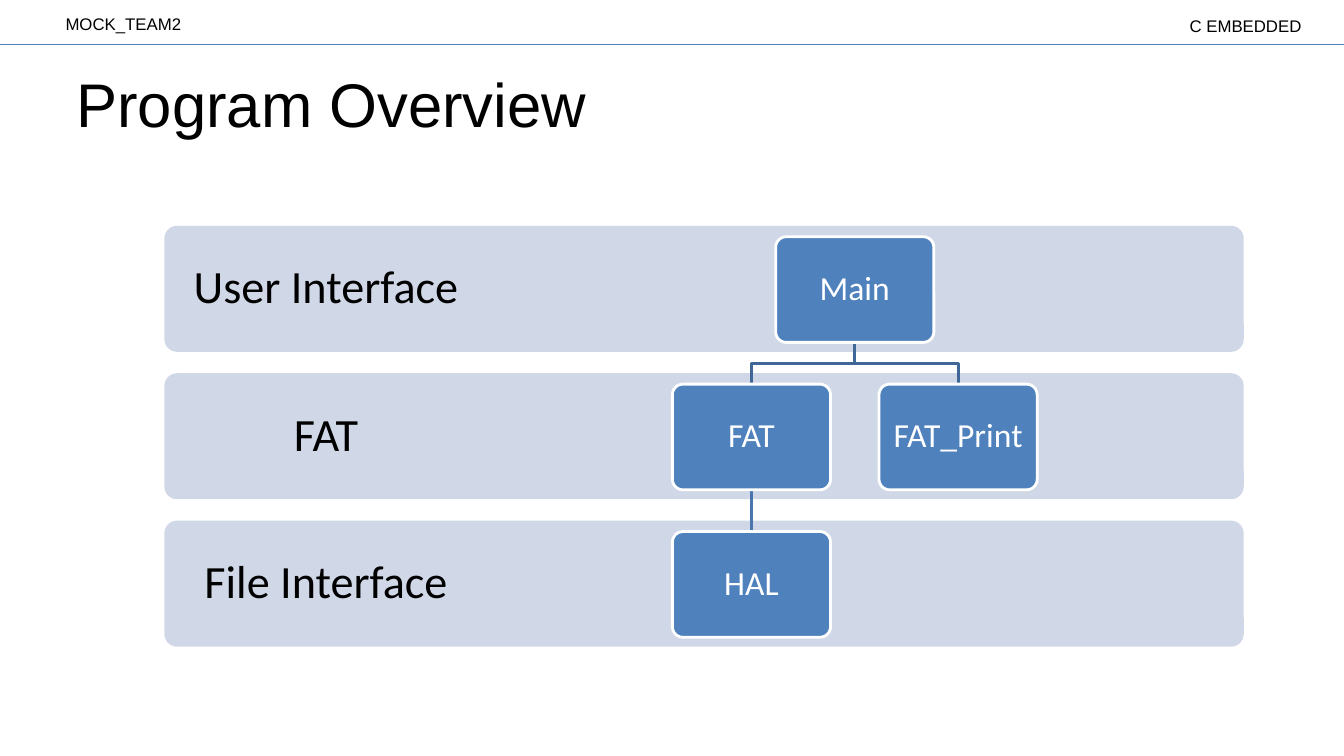
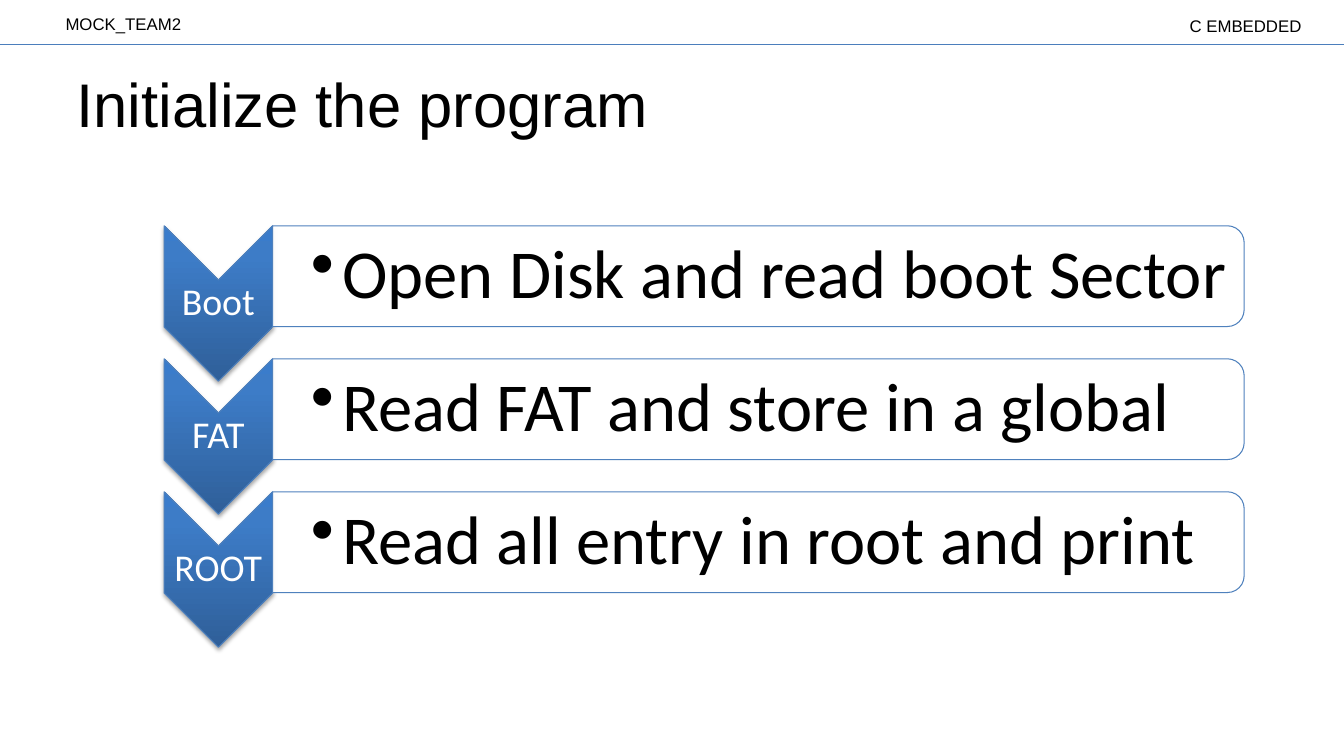
from dataclasses import dataclass

from lxml import etree
from pptx import Presentation
from pptx import util as u
from pptx.dml.color import RGBColor
from pptx.enum import shapes, text
from pptx.oxml.ns import qn

LEFT, CENTER, RIGHT = text.PP_ALIGN.LEFT, text.PP_ALIGN.CENTER, text.PP_ALIGN.RIGHT
TOP, MIDDLE = text.MSO_ANCHOR.TOP, text.MSO_ANCHOR.MIDDLE


@dataclass(frozen=True)
class Theme:
    heading_font: str = "Arial"
    body_font: str = "Calibri"
    black: str = "000000"
    white: str = "FFFFFF"
    rule: str = "4B7EBC"
    accent: str = "4F81BD"
    band: str = "D0D8E8"
    branch: str = "3F6797"
    stem: str = "4875AC"
    gradient: tuple = ((0, "2F5F99"), (80, "3D7CC7"), (100, "3A7CCB"))
    header_size: float = 12
    title_size: float = 44
    band_size: float = 33
    block_size: float = 24
    step_size: float = 27
    bullet_size: float = 49
    hairline: float = 0.75
    stroke: float = 2


def add_xml(parent, tag, **attributes):
    values = {name: str(value) for name, value in attributes.items()}
    return etree.SubElement(parent, qn(tag), values)


class Deck:
    """Holds the theme, the presentation and the slide being drawn."""

    def __init__(self, theme):
        self.theme = theme
        self.presentation = Presentation()
        self.presentation.slide_width = u.Pt(960)
        self.presentation.slide_height = u.Pt(540)
        self.slide = None

    def start_slide(self, title):
        theme = self.theme
        self.slide = self.presentation.slides.add_slide(self.presentation.slide_layouts[6])
        self.line((0, 31.7), (960, 31.7), theme.rule, theme.hairline)
        header = dict(size=theme.header_size, font=theme.heading_font, insets=(5, 3, 5, 3))
        self.label((553.7, 8.6, 381, 20), "C EMBEDDED", align=RIGHT, **header)
        self.label((41.8, 6.5, 381, 20), "MOCK_TEAM2", **header)
        self.label((47.5, 43.2, 864, 90), title, size=theme.title_size,
                   font=theme.heading_font, insets=(7.2, 3.6, 7.2, 3.6))

    def set_text(self, shape, words, size, font=None, color=None, align=LEFT,
                 anchor=TOP, insets=(0, 0, 0, 0), spacing=None):
        frame = shape.text_frame
        frame.word_wrap = True
        frame.vertical_anchor = anchor
        (frame.margin_left, frame.margin_top,
         frame.margin_right, frame.margin_bottom) = map(u.Pt, insets)
        paragraph = frame.paragraphs[0]
        paragraph.alignment = align
        paragraph.line_spacing = spacing
        run = paragraph.add_run()
        run.text = words
        run.font.size = u.Pt(size)
        run.font.name = font or self.theme.body_font
        run.font.color.rgb = RGBColor.from_string(color or self.theme.black)
        return paragraph

    def label(self, box, words, **style):
        shape = self.slide.shapes.add_textbox(*map(u.Pt, box))
        return self.set_text(shape, words, **style)

    def bullet(self, box, words, indent=22.3, **style):
        paragraph = self.label(box, words, **style)
        paragraph.level = 1
        properties = paragraph._p.get_or_add_pPr()
        properties.set("marL", str(u.Pt(indent)))
        properties.set("indent", str(-u.Pt(indent)))
        add_xml(properties, "a:buChar", char="•")

    def box(self, kind, box, fill, line=None, width=0, corner=None, turn=0):
        shape = self.slide.shapes.add_shape(kind, *map(u.Pt, box))
        shape.shadow.inherit = False
        shape.rotation = turn
        if corner is not None:
            shape.adjustments[0] = corner
        shape.fill.solid()
        shape.fill.fore_color.rgb = RGBColor.from_string(fill)
        if line:
            self.stroke(shape, line, width)
        else:
            shape.line.fill.background()
        return shape

    def upright(self, kind, box, *style):
        """Add a shape turned by 90 degrees that covers the given box on the slide."""
        left, top, width, height = box
        shift = (width - height) / 2
        return self.box(kind, (left + shift, top - shift, height, width), *style, turn=90)

    def stroke(self, shape, color, width):
        shape.line.color.rgb = RGBColor.from_string(color)
        shape.line.width = u.Pt(width)

    def line(self, start, end, color, width):
        connector = self.slide.shapes.add_connector(
            shapes.MSO_CONNECTOR.STRAIGHT, *map(u.Pt, start + end))
        self.stroke(connector, color, width)
        add_xml(connector._element.spPr, "a:effectLst")

    def branch(self, start, end, color, width):
        """Draw a line that goes down, across and down again."""
        middle = (start[1] + end[1]) / 2
        points = [start, (start[0], middle), (end[0], middle), end]
        first, *rest = [(u.Pt(x), u.Pt(y)) for x, y in points]
        builder = self.slide.shapes.build_freeform(*first)
        builder.add_line_segments(rest, close=False)
        shape = builder.convert_to_shape()
        shape.shadow.inherit = False
        shape.fill.background()
        self.stroke(shape, color, width)

    def shade(self, shape):
        """Give the shape an upright gradient and a soft shadow below."""
        properties = shape._element.spPr
        gradient = etree.Element(qn("a:gradFill"), {"rotWithShape": "0"})
        stops = add_xml(gradient, "a:gsLst")
        for position, color in self.theme.gradient:
            stop = add_xml(stops, "a:gs", pos=position * 1000)
            add_xml(stop, "a:srgbClr", val=color)
        add_xml(gradient, "a:lin", ang=270 * 60000, scaled=0)
        properties.replace(properties.find(qn("a:solidFill")), gradient)
        shadow = add_xml(properties.find(qn("a:effectLst")), "a:outerShdw",
                         blurRad=u.Pt(3.1), dist=u.Pt(1.8), dir=90 * 60000, rotWithShape=0)
        add_xml(add_xml(shadow, "a:srgbClr", val=self.theme.black), "a:alpha", val=35000)

    def fade(self, shape, percent):
        color = shape._element.spPr.find(qn("a:solidFill"))[0]
        add_xml(color, "a:alpha", val=percent * 1000)


def draw_overview(deck):
    theme, kind = deck.theme, shapes.MSO_SHAPE.ROUNDED_RECTANGLE
    left, top, pitch, band_height = 117.4, 161.3, 105.3, 90
    block_width, block_height, block_offset = 113, 75.5, 7.8
    deck.start_slide("Program Overview")

    for row, words in enumerate(("User Interface", "FAT", "File Interface")):
        y = top + row * pitch
        deck.box(kind, (left, y, 771, band_height), theme.band, corner=0.1)
        deck.label((left, y, 231, band_height), words, size=theme.band_size, align=CENTER,
                   anchor=MIDDLE, insets=(18.7,) * 4, spacing=0.9)

    center, spread = 610.6, 73.8
    blocks = {"Main": (center, 0), "FAT": (center - spread, 1),
              "FAT_Print": (center + spread, 1), "HAL": (center - spread, 2)}

    def block_top(name):
        x, row = blocks[name]
        return x, top + row * pitch + block_offset

    def block_foot(name):
        x, y = block_top(name)
        return x, y + block_height

    for child in ("FAT", "FAT_Print"):
        deck.branch(block_foot("Main"), block_top(child), theme.branch, theme.stroke)
    deck.line(block_foot("FAT"), block_top("HAL"), theme.stem, theme.stroke)
    for name in blocks:
        x, y = block_top(name)
        block = deck.box(kind, (x - block_width / 2, y, block_width, block_height),
                         theme.accent, theme.white, theme.stroke, corner=0.1)
        deck.set_text(block, name, size=theme.block_size, color=theme.white, align=CENTER,
                      anchor=MIDDLE, insets=(7.2,) * 4, spacing=0.9)


def draw_start(deck):
    theme = deck.theme
    left, top, pitch = 117.2, 161.3, 95
    step_width, step_height = 77.5, 111
    panel_left, panel_width, panel_height = left + step_width, 694, 72
    steps = (("Boot", "Open Disk and read boot Sector"),
             ("FAT", "Read FAT and store in a global"),
             ("ROOT", "Read all entry in root and print"))
    deck.start_slide("Initialize the program")

    for row, (name, action) in enumerate(steps):
        y = top + row * pitch
        chevron = deck.upright(shapes.MSO_SHAPE.CHEVRON, (left, y, step_width, step_height),
                               theme.accent, theme.accent, theme.hairline)
        deck.shade(chevron)
        deck.label((left, y + step_width / 2, step_width, step_height - step_width), name,
                   size=theme.step_size, color=theme.white, align=CENTER,
                   anchor=MIDDLE, insets=(1.4,) * 4, spacing=0.9)
        panel = deck.upright(shapes.MSO_SHAPE.ROUND_2_SAME_RECTANGLE,
                             (panel_left, y, panel_width, panel_height),
                             theme.white, theme.accent, theme.hairline)
        deck.fade(panel, 90)
        deck.bullet((panel_left, y + 3.5, 690.5, 65), action, size=theme.bullet_size,
                    anchor=MIDDLE, insets=(27.4, 2.2, 2.2, 2.2), spacing=0.9)


def main():
    deck = Deck(Theme())
    draw_overview(deck)
    draw_start(deck)
    deck.presentation.save("out.pptx")


if __name__ == "__main__":
    main()
